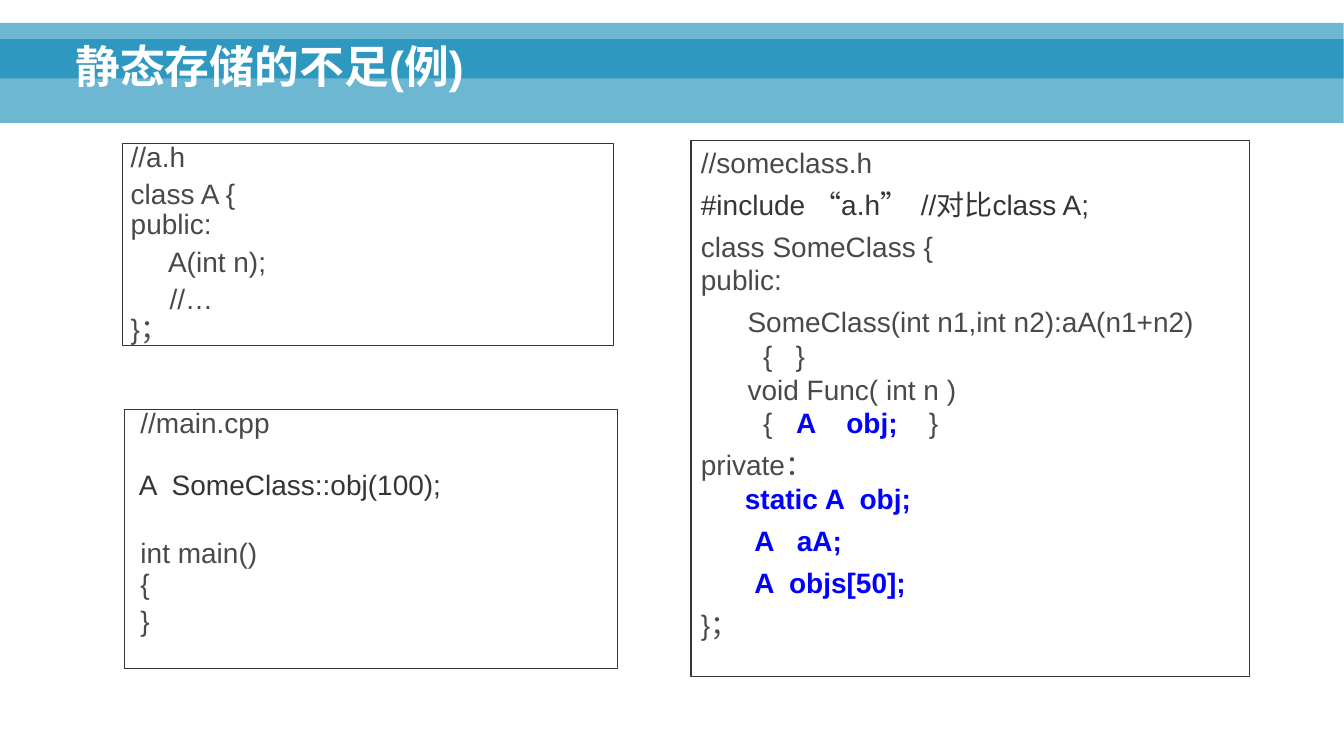
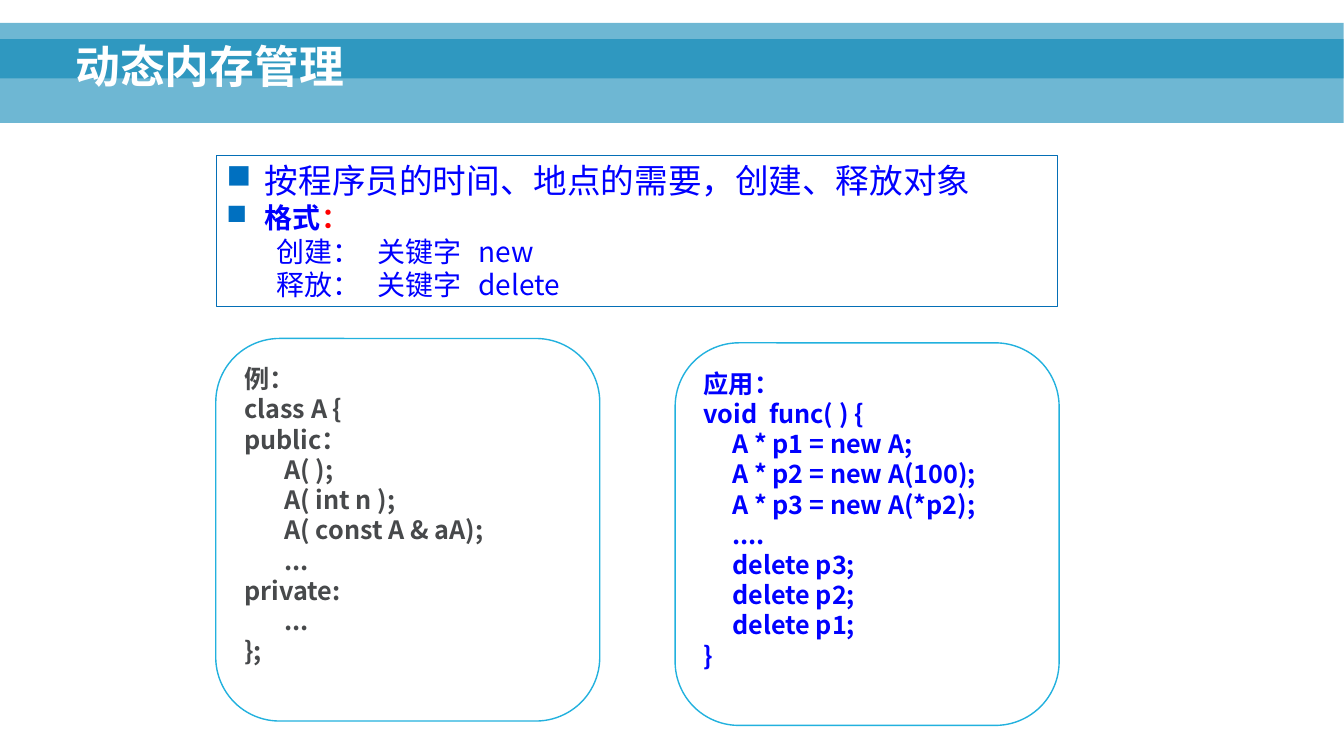
from dataclasses import dataclass

from lxml.etree import SubElement
from pptx import Presentation
from pptx.dml.color import RGBColor
from pptx.enum.shapes import MSO_SHAPE as Preset
from pptx.enum.text import MSO_ANCHOR as Anchor, PP_ALIGN as Align
from pptx.oxml.ns import qn
from pptx.util import Cm, Pt


@dataclass(frozen=True)
class Theme:
    # Colours
    band: str = "0082B3"
    title: str = "FFFFFF"
    panel: str = "FFFFFF"
    dark: str = "343537"
    code: str = "47494B"
    key: str = "0000FF"
    alert: str = "FF0000"
    bullet: str = "0070C0"
    frame: str = "046FB6"
    rounded: str = "22B1DE"
    # Fonts and type sizes
    latin: str = "Arial"
    cjk: str = "Noto Sans CJK SC"
    title_size: int = 32
    lead_size: int = 24
    body_size: int = 20
    sample_size: int = 18


THEME = Theme()
SLIDE_SIZE = (33.88, 19.05)
BANDS = ((0.99, 2.11), (0.58, 1.4))  # top, height
BAND_ALPHA = 57000
NO_INSETS = (0, 0, 0, 0)
INSETS = (0.25, 0.13, 0.25, 0.13)
SAMPLE_INSETS = (0.25, 0.13, 0.25, 0.89)


@dataclass(frozen=True)
class Run:
    text: str
    color: str = THEME.code
    size: int = THEME.body_size
    bold: bool = False
    font: str = THEME.latin


@dataclass(frozen=True)
class Para:
    runs: tuple
    before: float = 0
    after: float = 0
    spacing: float = 1.0
    indent: float = 0
    bullet: bool = False
    tabs: tuple = ()


def key(text):
    return Run(text, THEME.key, bold=True)


def add_run(paragraph, part):
    """Write one run, turning each newline into a line break."""
    for index, line in enumerate(part.text.split("\n")):
        if index:
            paragraph.add_line_break()
        if not line:
            continue
        run = paragraph.add_run()
        run.text = line
        run.font.name = part.font
        run.font.size = Pt(part.size)
        run.font.bold = part.bold
        run.font.color.rgb = RGBColor.from_string(part.color)
        SubElement(run.font._element, qn("a:ea"), typeface=THEME.cjk)


def format_paragraph(paragraph, para):
    paragraph.alignment = Align.LEFT
    paragraph.line_spacing = para.spacing
    paragraph.space_before = Pt(para.before)
    paragraph.space_after = Pt(para.after)
    props = paragraph._p.get_or_add_pPr()
    props.set("marL", str(Cm(para.indent)))
    props.set("indent", str(-Cm(para.indent) if para.bullet else 0))
    if para.bullet:
        color = SubElement(props, qn("a:buClr"))
        SubElement(color, qn("a:srgbClr"), val=THEME.bullet)
        SubElement(props, qn("a:buChar"), char="■")
    else:
        SubElement(props, qn("a:buNone"))
    if para.tabs:
        stops = SubElement(props, qn("a:tabLst"))
        for stop in para.tabs:
            SubElement(stops, qn("a:tab"), pos=str(Cm(stop)), algn="l")


def write(shape, paras, insets=INSETS, anchor=Anchor.TOP):
    frame = shape.text_frame
    frame.word_wrap = True
    frame.vertical_anchor = anchor
    (frame.margin_left, frame.margin_top,
     frame.margin_right, frame.margin_bottom) = map(Cm, insets)
    for index, para in enumerate(paras):
        paragraph = frame.add_paragraph() if index else frame.paragraphs[0]
        format_paragraph(paragraph, para)
        for part in para.runs:
            add_run(paragraph, part)


def add_box(slide, place, line=None, width=0.75, fill=None,
            preset=Preset.RECTANGLE):
    box = slide.shapes.add_shape(preset, *map(Cm, place))
    box.shadow.inherit = False
    if fill:
        box.fill.solid()
        box.fill.fore_color.rgb = RGBColor.from_string(fill)
    else:
        box.fill.background()
    if line:
        box.line.color.rgb = RGBColor.from_string(line)
        box.line.width = Pt(width)
    else:
        box.line.fill.background()
    return box


def add_titled_slide(deck, title):
    """Blank slide with the two overlapping bands and the title."""
    slide = deck.slides.add_slide(deck.slide_layouts[6])
    for top, height in BANDS:
        band = add_box(slide, (0, top, 33.87, height), fill=THEME.band)
        color = band.fill._xPr.find(qn("a:solidFill"))[0]
        SubElement(color, qn("a:alpha"), val=str(BAND_ALPHA))
    heading = slide.shapes.add_textbox(*map(Cm, (1.65, 0.28, 30.43, 2.21)))
    text = Run(title, THEME.title, THEME.title_size, True)
    write(heading, [Para((text,), spacing=0.9)], anchor=Anchor.BOTTOM)
    return slide


def add_listing(slide, place, blocks, insets=NO_INSETS, after=0, spacing=0.9):
    """Framed code; each block is (space before, runs)."""
    paras = [Para(runs, before, after, spacing) for before, runs in blocks]
    write(add_box(slide, place, THEME.dark), paras, insets)


def add_sample(slide, left, top, code, color):
    """Rounded panel with a bold code sample."""
    panel = add_box(slide, (left, top, 9.68, 9.64), THEME.rounded, 1,
                    THEME.panel, Preset.ROUNDED_RECTANGLE)
    text = Run(code, color, THEME.sample_size, True, THEME.cjk)
    write(panel, [Para((text,))], SAMPLE_INSETS, Anchor.MIDDLE)


def build_static_storage(deck):
    slide = add_titled_slide(deck, "静态存储的不足(例)")

    # someclass.h
    some_class = [
        (Run("//someclass.h"),),
        (Run("#include “a.h”  //对比class A;", THEME.dark),),
        (Run("class SomeClass {\npublic:"),),
        (Run("      SomeClass(int n1,int n2):aA(n1+n2) \n        {   }\n"
             "      void Func( int n ) \n        {   "),
         key("A    obj;   "), Run(" }")),
        (Run("private：\n       "), key("static A  obj;")),
        (key("       A   aA;"),),
        (key("       A  objs[50];"),),
        (Run("}；"),),
    ]
    blocks = [(3 if index else 0, runs)
              for index, runs in enumerate(some_class)]
    add_listing(slide, (17.42, 3.53, 14.07, 13.51), blocks, INSETS, 3, 1.0)

    # a.h
    add_listing(slide, (3.1, 3.61, 12.37, 5.11), [
        (0, (Run(" //a.h"),)),
        (5, (Run(" class A {\n public:"),)),
        (5, (Run("      A(int n);"),)),
        (5, (Run("      //…\n }；"),)),
    ])

    # main.cpp
    add_listing(slide, (3.15, 10.31, 12.42, 6.53), [
        (0, (Run("  //main.cpp"),)),
        (23, (Run("  A  SomeClass::obj(100);", THEME.dark),)),
        (27, (Run("  int main() \n  {"),)),
        (5, (Run("  }"),)),
    ])


def build_dynamic_memory(deck):
    slide = add_titled_slide(deck, "动态内存管理")

    # Purpose and keywords
    purpose = Run("按程序员的时间、地点的需要，创建、释放对象",
                  THEME.key, THEME.lead_size, font=THEME.cjk)
    paras = [
        Para((purpose,), indent=0.97, bullet=True),
        Para((key("格式"), Run("：", THEME.alert, bold=True)),
             indent=0.97, bullet=True),
    ]
    for action, keyword in (("创建", "new"), ("释放", "delete")):
        usage = Run(f"{action}：\t关键字\t{keyword}", THEME.key,
                    font=THEME.cjk)
        paras.append(Para((usage,), indent=1.27, tabs=(3.73, 6.33)))
    write(add_box(slide, (5.46, 3.91, 21.21, 3.81), THEME.frame), paras)

    # Class and its use
    add_sample(slide, 5.44, 8.53, """例：
class A {
public：
       A( );
       A( int n );
       A( const A & aA);
       ...
private:
       ...
};""", THEME.code)
    add_sample(slide, 17.02, 8.64, """应用：
void  func( ) {
     A * p1 = new A;
     A * p2 = new A(100);
     A * p3 = new A(*p2);
     ....
     delete p3;
     delete p2;
     delete p1;
}""", THEME.key)


def main():
    deck = Presentation()
    deck.slide_width, deck.slide_height = map(Cm, SLIDE_SIZE)
    build_static_storage(deck)
    build_dynamic_memory(deck)
    deck.save("out.pptx")


if __name__ == "__main__":
    main()
